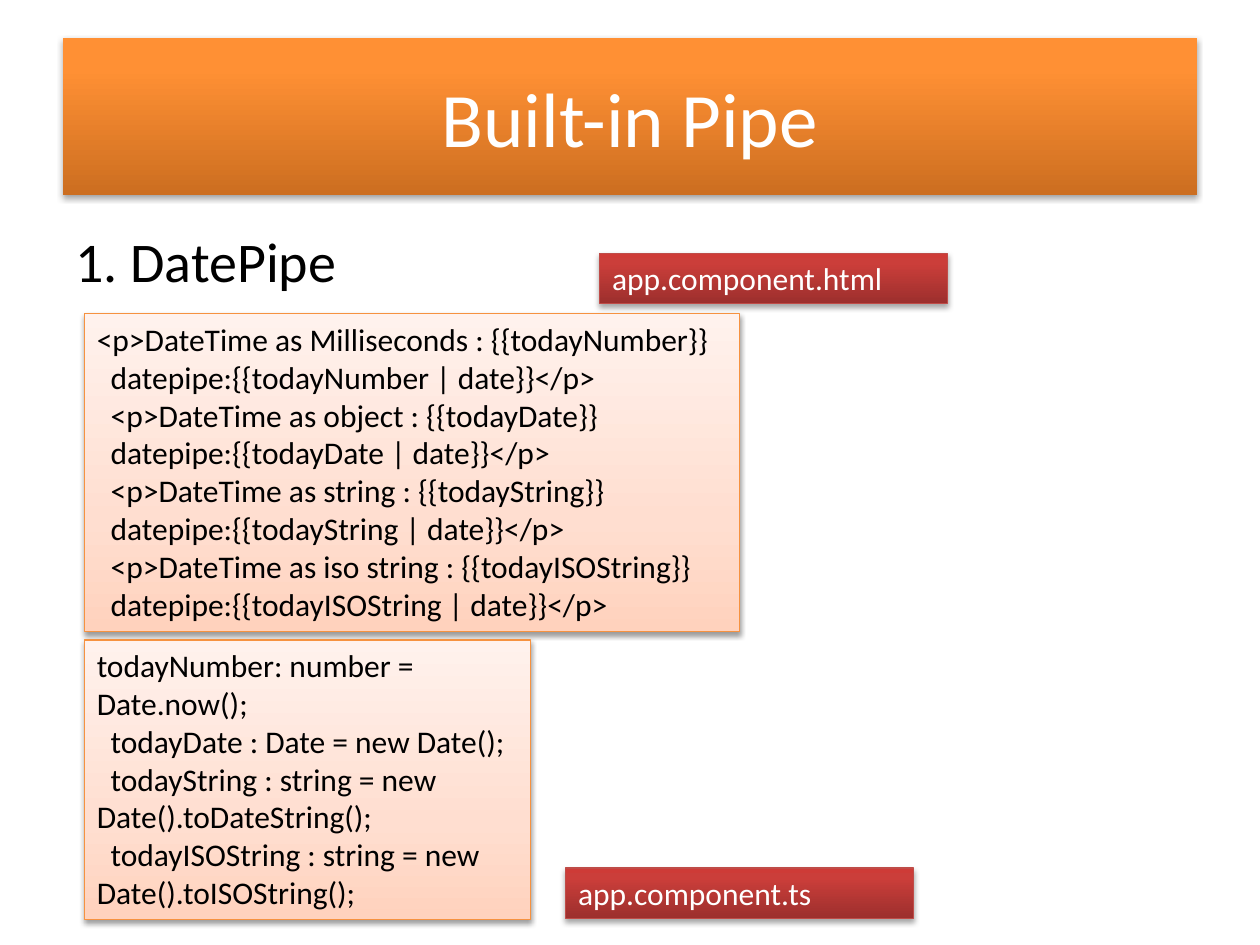
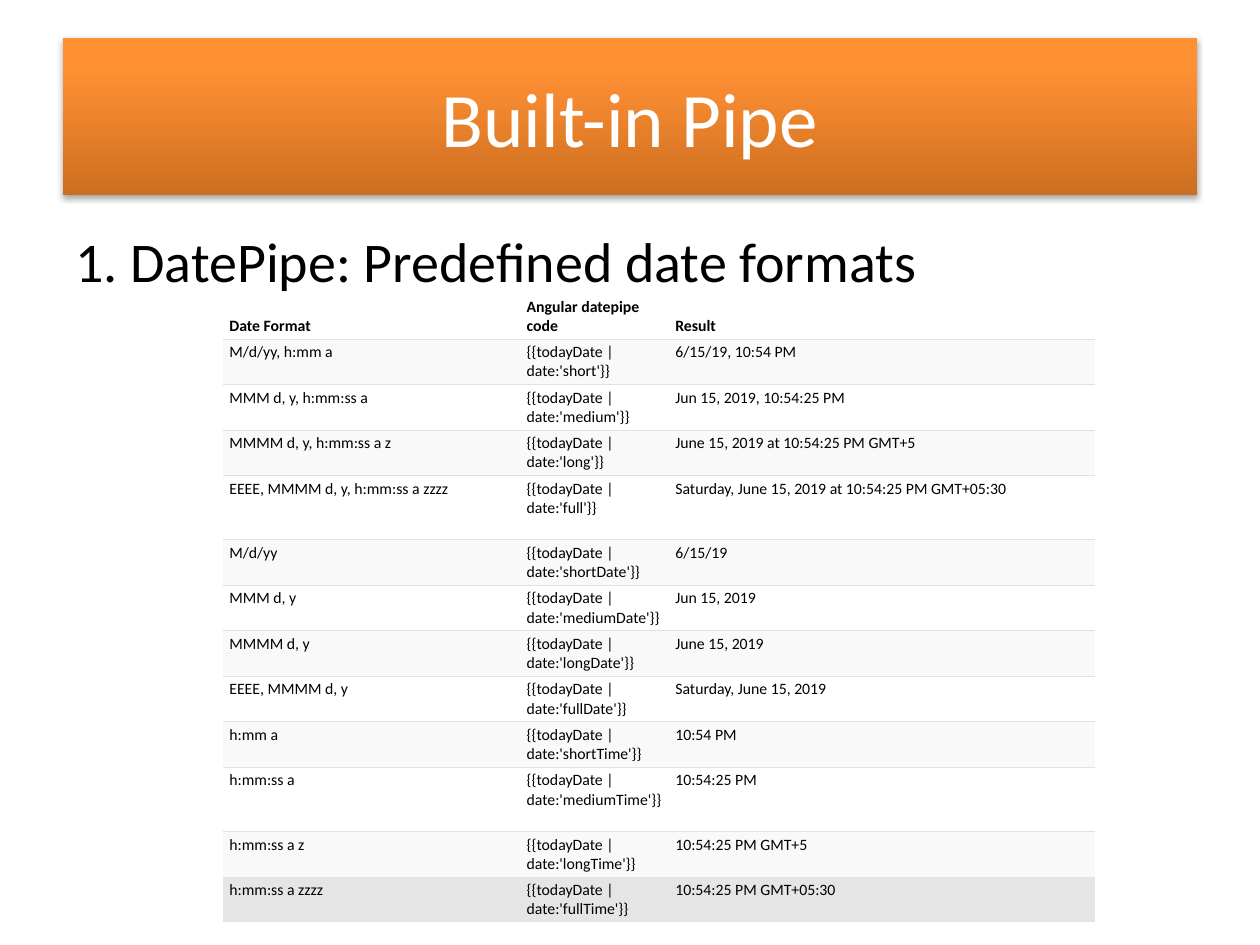
from lxml.etree import SubElement
from pptx import Presentation
from pptx.dml.color import RGBColor
from pptx.enum.shapes import MSO_SHAPE
from pptx.enum.text import MSO_ANCHOR, MSO_AUTO_SIZE, PP_ALIGN
from pptx.oxml.ns import qn
from pptx.util import Inches, Pt

FONT = "Calibri"
BLACK = RGBColor(0x00, 0x00, 0x00)
WHITE = RGBColor(0xFF, 0xFF, 0xFF)
STRIPE = RGBColor(0xF9, 0xF9, 0xF9)
LAST_ROW = RGBColor(0xE5, 0xE5, 0xE5)
RULE = RGBColor(0xDE, 0xE2, 0xE6)
CODE_LINE = RGBColor(0xF6, 0x92, 0x40)
LABEL_LINE = RGBColor(0xBF, 0x4C, 0x48)

# Gradient stops run from the bottom edge to the top edge.
BAND_STOPS = [(0, RGBColor(0xCC, 0x6E, 0x20)), (80, RGBColor(0xFF, 0x90, 0x34)),
              (100, RGBColor(0xFF, 0x91, 0x36))]
CODE_STOPS = [(0, RGBColor(0xFF, 0xD2, 0xBD)), (35, RGBColor(0xFF, 0xDE, 0xD0)),
              (100, RGBColor(0xFF, 0xF2, 0xED))]
LABEL_STOPS = [(0, RGBColor(0x9C, 0x2F, 0x2D)), (80, RGBColor(0xCB, 0x3E, 0x3A)),
               (100, RGBColor(0xCE, 0x3B, 0x37))]
STRONG_SHADOW = {"alpha": 35, "distance": 1.8}
SOFT_SHADOW = {"alpha": 38, "distance": 1.6}

NO_STYLE_NO_GRID = "{2D5ABB26-0587-4C30-8999-92F81FD0307C}"
CODE_INDENT = Inches(0.11)

TEMPLATE_CODE = [
    "<p>DateTime as Milliseconds : {{todayNumber}}",
    "datepipe:{{todayNumber | date}}</p>",
    "<p>DateTime as object : {{todayDate}}",
    "datepipe:{{todayDate | date}}</p>",
    "<p>DateTime as string : {{todayString}}",
    "datepipe:{{todayString | date}}</p>",
    "<p>DateTime as iso string : {{todayISOString}}",
    "datepipe:{{todayISOString | date}}</p>",
]
COMPONENT_CODE = [
    "todayNumber: number = Date.now();",
    "todayDate : Date = new Date();",
    "todayString : string = new Date().toDateString();",
    "todayISOString : string = new Date().toISOString();",
]

HEADINGS = ("Date Format", "Angular datepipe code", "Result")
DATE_FORMATS = [
    ("M/d/yy, h:mm a", "short", "6/15/19, 10:54 PM"),
    ("MMM d, y, h:mm:ss a", "medium", "Jun 15, 2019, 10:54:25 PM"),
    ("MMMM d, y, h:mm:ss a z", "long", "June 15, 2019 at 10:54:25 PM GMT+5"),
    ("EEEE, MMMM d, y, h:mm:ss a zzzz", "full",
     "Saturday, June 15, 2019 at 10:54:25 PM GMT+05:30"),
    ("M/d/yy", "shortDate", "6/15/19"),
    ("MMM d, y", "mediumDate", "Jun 15, 2019"),
    ("MMMM d, y", "longDate", "June 15, 2019"),
    ("EEEE, MMMM d, y", "fullDate", "Saturday, June 15, 2019"),
    ("h:mm a", "shortTime", "10:54 PM"),
    ("h:mm:ss a", "mediumTime", "10:54:25 PM"),
    ("h:mm:ss a z", "longTime", "10:54:25 PM GMT+5"),
    ("h:mm:ss a zzzz", "fullTime", "10:54:25 PM GMT+05:30"),
]
COLUMN_WIDTHS = (2.36, 1.18, 3.38)
TALL_ROWS = ("full", "mediumTime")


def set_all(target, values):
    for name, value in values.items():
        setattr(target, name, value)


def write(frame, lines, size, color=BLACK, bold=False, **paragraph_format):
    """Put one paragraph per line into a text frame."""
    for number, line in enumerate(lines):
        paragraph = frame.add_paragraph() if number else frame.paragraphs[0]
        set_all(paragraph, {"alignment": PP_ALIGN.LEFT, **paragraph_format})
        run = paragraph.add_run()
        run.text = line
        set_all(run.font, {"name": FONT, "size": Pt(size), "bold": bold})
        run.font.color.rgb = color


def fill_gradient(shape, stops):
    shape.fill.gradient()
    shape.fill.gradient_angle = 90
    stop_list = shape._element.spPr.find(qn("a:gradFill")).find(qn("a:gsLst"))
    stop_list.clear()
    for percent, color in stops:
        stop = SubElement(stop_list, qn("a:gs"), pos=str(percent * 1000))
        SubElement(stop, qn("a:srgbClr"), val=str(color))


def drop_shadow(shape, alpha, distance):
    shape.shadow.inherit = False
    effects = shape._element.spPr.find(qn("a:effectLst"))
    shadow = SubElement(effects, qn("a:outerShdw"), blurRad=str(Pt(3.1)),
                        dist=str(Pt(distance)), dir="5400000", rotWithShape="0")
    color = SubElement(shadow, qn("a:srgbClr"), val=str(BLACK))
    SubElement(color, qn("a:alpha"), val=str(alpha * 1000))


def add_panel(slide, box, stops, shadow, line=None, anchor=MSO_ANCHOR.TOP):
    """Add a gradient rectangle with a shadow and return its text frame."""
    panel = slide.shapes.add_shape(MSO_SHAPE.RECTANGLE, *map(Inches, box))
    fill_gradient(panel, stops)
    if line is None:
        panel.line.fill.background()
    else:
        panel.line.color.rgb = line
        panel.line.width = Pt(0.75)
    drop_shadow(panel, **shadow)
    set_all(panel.text_frame, {"word_wrap": True, "vertical_anchor": anchor})
    return panel.text_frame


def add_code(slide, box, lines):
    frame = add_panel(slide, box, CODE_STOPS, SOFT_SHADOW, CODE_LINE)
    frame.auto_size = MSO_AUTO_SIZE.SHAPE_TO_FIT_TEXT
    write(frame, lines, 18)
    for paragraph in frame.paragraphs[1:]:
        paragraph._p.get_or_add_pPr().set("indent", str(CODE_INDENT))


def add_file_label(slide, left, top, file_name):
    frame = add_panel(slide, (left, top, 2.76, 0.4), LABEL_STOPS, STRONG_SHADOW, LABEL_LINE)
    frame.auto_size = MSO_AUTO_SIZE.SHAPE_TO_FIT_TEXT
    write(frame, [file_name], 18, WHITE)


def add_topic_slide(deck, topic):
    """Add a slide with the shared title band and a topic line below it."""
    slide = deck.slides.add_slide(deck.slide_layouts[6])
    band = add_panel(slide, (0.5, 0.3, 9, 1.25), BAND_STOPS, STRONG_SHADOW,
                     anchor=MSO_ANCHOR.MIDDLE)
    write(band, ["Built-in Pipe"], 44, WHITE, alignment=PP_ALIGN.CENTER)
    heading = slide.shapes.add_textbox(*map(Inches, (0.5, 1.75, 9, 0.74))).text_frame
    heading.word_wrap = True
    write(heading, [topic], 32, space_before=Pt(6.4))
    return slide


def rule_edges(cell, edges):
    """Draw thin rules on the given edges: T for top, B for bottom."""
    properties = cell._tc.get_or_add_tcPr()
    for edge in edges:
        rule = SubElement(properties, qn(f"a:ln{edge}"), w=str(Pt(0.6)))
        fill = SubElement(rule, qn("a:solidFill"))
        SubElement(fill, qn("a:srgbClr"), val=str(RULE))


def fill_cell(cell, text, background, edges, header):
    rule_edges(cell, edges)
    cell.fill.solid()
    cell.fill.fore_color.rgb = background
    set_all(cell, {
        "margin_left": Inches(0.05), "margin_right": Inches(0.05),
        "margin_top": Inches(0.03), "margin_bottom": Inches(0.03),
        "vertical_anchor": MSO_ANCHOR.BOTTOM if header else MSO_ANCHOR.TOP,
    })
    write(cell.text_frame, [text], 9, bold=header)


def add_format_table(slide):
    rows = [HEADINGS] + [(pattern, f"{{{{todayDate | date:'{name}'}}}}", result)
                         for pattern, name, result in DATE_FORMATS]
    heights = [0.36] + [0.51 if name in TALL_ROWS else 0.36 for _, name, _ in DATE_FORMATS]
    table = slide.shapes.add_table(
        len(rows), len(HEADINGS), Inches(1.77), Inches(2.33),
        Inches(sum(COLUMN_WIDTHS)), Inches(sum(heights))).table
    set_all(table, {"first_row": False, "horz_banding": False})
    table._tbl.tblPr.find(qn("a:tableStyleId")).text = NO_STYLE_NO_GRID
    for column, width in zip(table.columns, COLUMN_WIDTHS):
        column.width = Inches(width)
    last = len(rows) - 1
    for number, (texts, height) in enumerate(zip(rows, heights)):
        table.rows[number].height = Inches(height)
        background = LAST_ROW if number == last else STRIPE if number % 2 else WHITE
        edges = "B" if number == 0 else "T" if number == last else "TB"
        for cell, text in zip(table.rows[number].cells, texts):
            fill_cell(cell, text, background, edges, header=number == 0)


def main():
    deck = Presentation()
    set_all(deck, {"slide_width": Inches(10), "slide_height": Inches(7.5)})

    usage = add_topic_slide(deck, "1. DatePipe")
    add_code(usage, (0.67, 2.49, 5.2, 2.52), TEMPLATE_CODE)
    add_code(usage, (0.67, 5.08, 3.54, 2.22), COMPONENT_CODE)
    add_file_label(usage, 4.76, 2.01, "app.component.html")
    add_file_label(usage, 4.49, 6.89, "app.component.ts")

    formats = add_topic_slide(deck, "1. DatePipe: Predefined date formats")
    add_format_table(formats)

    deck.save("out.pptx")


if __name__ == "__main__":
    main()
